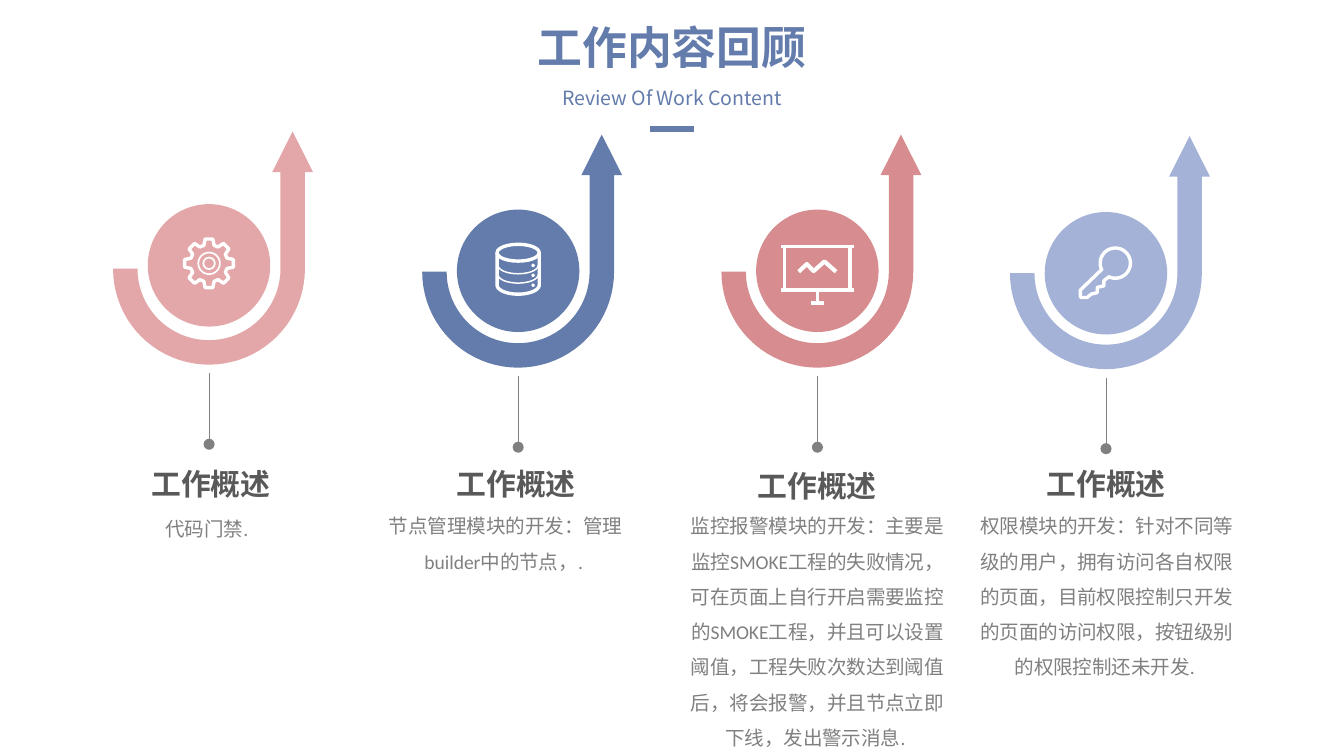
import math
from dataclasses import dataclass
from typing import Callable

import lxml.etree
import pptx
import pptx.dml.color
import pptx.enum.shapes
import pptx.enum.text
import pptx.oxml.ns
import pptx.util

Pt = pptx.util.Pt
Point = tuple[float, float]
COLOURS = {
    "blue": "637CAC", "pale blue": "A3B2D6", "rose": "D78D8F", "pink": "E4A7A9",
    "white": "FFFFFF", "heading": "595959", "body": "808080",
}
FONT = "Noto Sans CJK SC"
OVAL = pptx.enum.shapes.MSO_SHAPE.OVAL
STRAIGHT = pptx.enum.shapes.MSO_CONNECTOR.STRAIGHT
TITLE_FORMAT = {"size": Pt(24), "bold": True, "name": FONT}
SUBTITLE_FORMAT = {"size": Pt(10.5), "bold": False, "name": FONT}
HEADING_FORMAT = {"size": Pt(16), "bold": True, "name": FONT}
BODY_FORMAT = {"size": Pt(10.5), "bold": False, "name": "Calibri"}

presentation = pptx.Presentation()
presentation.slide_width, presentation.slide_height = Pt(720), Pt(405)
slide = presentation.slides.add_slide(presentation.slide_layouts[6])


def rgb(colour: str) -> pptx.dml.color.RGBColor:
    return pptx.dml.color.RGBColor.from_string(COLOURS[colour])


def add_child(parent, tag: str, **attributes: str) -> None:
    lxml.etree.SubElement(parent, pptx.oxml.ns.qn(tag), attributes)


def paint(shape, fill: str | None, line: str | None = None, weight: float = 1) -> None:
    shape.shadow.inherit = False
    if fill:
        shape.fill.solid()
        shape.fill.fore_color.rgb = rgb(fill)
    else:
        shape.fill.background()
    if line:
        shape.line.color.rgb = rgb(line)
        shape.line.width = Pt(weight)
    else:
        shape.line.fill.background()


def add_text(text: str, centre: float, top: float, width: float, height: float,
             values: dict, colour: str, spacing: float = 1, wrap: bool = True) -> None:
    shape = slide.shapes.add_textbox(Pt(centre - width / 2), Pt(top), Pt(width), Pt(height))
    frame = shape.text_frame
    frame.word_wrap = wrap
    frame.auto_size = pptx.enum.text.MSO_AUTO_SIZE.SHAPE_TO_FIT_TEXT
    paragraph = frame.paragraphs[0]
    paragraph.alignment = pptx.enum.text.PP_ALIGN.CENTER
    paragraph.line_spacing = spacing
    run = paragraph.add_run()
    run.text = text
    for name, value in values.items():
        setattr(run.font, name, value)
    run.font.color.rgb = rgb(colour)
    add_child(run.font._element, "a:ea", typeface=FONT)


def add_line(start: Point, end: Point, colour: str, weight: float, dot: bool = False) -> None:
    line = slide.shapes.add_connector(STRAIGHT, *(Pt(value) for value in start + end))
    line.line.color.rgb = rgb(colour)
    line.line.width = Pt(weight)
    if dot:
        add_child(line.line._get_or_add_ln(), "a:tailEnd", type="oval")
    add_child(line._element.spPr, "a:effectLst")


def add_ellipse(x: float, y: float, radius_x: float, radius_y: float,
                fill: str | None, line: str | None = None, weight: float = 1) -> None:
    shape = slide.shapes.add_shape(OVAL, Pt(x - radius_x), Pt(y - radius_y),
                                   Pt(2 * radius_x), Pt(2 * radius_y))
    paint(shape, fill, line, weight)


def add_outline(x: float, y: float, points: list[Point], fill: str | None = None,
                weight: float = 0, close: bool = True) -> None:
    """Draw points given relative to x, y; a weight gives a white stroke."""
    placed = [(Pt(x + dx), Pt(y + dy)) for dx, dy in points]
    builder = slide.shapes.build_freeform(*placed[0], scale=1.0)
    builder.add_line_segments(placed[1:], close=close)
    paint(builder.convert_to_shape(), fill, "white" if weight else None, weight)


def arc(x: float, y: float, radius_x: float, radius_y: float,
        start: float, end: float, steps: int = 40) -> list[Point]:
    angles = [math.radians(start + (end - start) * step / steps) for step in range(steps + 1)]
    return [(x + radius_x * math.cos(angle), y + radius_y * math.sin(angle)) for angle in angles]


# Icons, each around the centre of its disc
def draw_gear(x: float, y: float) -> None:
    y -= 1.1
    tooth = ((-16, 10), (-9, 13.2), (9, 13.2), (16, 10))
    teeth = [arc(0, 0, radius, radius, 45 * index + angle, 0, 1)[0]
             for index in range(8) for angle, radius in tooth]
    add_outline(x, y, teeth, weight=1.8)
    for radius in (5.8, 3.1):
        add_ellipse(x, y, radius, radius, None, "white", 0.9)


def draw_database(x: float, y: float) -> None:
    add_ellipse(x, y - 9.7, 11.3, 4.5, None, "white", 1.8)
    wall = [(11.3, -9.7)] + arc(0, 7.6, 11.3, 4.9, 0, 180) + [(-11.3, -9.7)]
    add_outline(x, y, wall, weight=1.8, close=False)
    for level in (-3, 2):
        add_outline(x, y, arc(0, level, 10.8, 4.6, 0, 180), weight=0.8, close=False)
    for level in (-2.9, 2.4, 7.7):
        add_ellipse(x + 8, y + level, 0.9, 0.9, "white")


def draw_board(x: float, y: float) -> None:
    add_outline(x, y, [(-17.6, -13), (17.6, -13), (17.6, 10.1), (-17.6, 10.1)], weight=2)
    for half, level in ((19.4, -13), (19.4, 10.1), (3.6, 17.2)):
        add_line((x - half, y + level), (x + half, y + level), "white", 2)
    add_line((x, y + 10), (x, y + 17), "white", 2)
    chart = [(-10, 0.5), (-5.6, -3.6), (-2, 0.2), (3.8, -5), (10, 0.5)]
    add_outline(x, y, chart, weight=2.2, close=False)


def draw_key(x: float, y: float) -> None:
    blade = [(-2.5, -1.8), (-13.7, 9), (-13.7, 13), (-10.1, 13), (-7.9, 11.2),
             (-4.7, 10.4), (-4.7, 7.6), (-1.1, 6.8), (-1.1, 4)]
    add_outline(x, y, blade + arc(5, -5.4, 8.1, 8.1, 115, -206), weight=1.8)


@dataclass
class Topic:
    x: float
    hook_y: float
    disc_y: float
    heading_x: float
    heading_top: float
    body_x: float
    body_top: float
    body_height: float
    colour: str
    icon: Callable[[float, float], None]
    body: str


TOPICS = [
    Topic(112, 144, 142.2, 113, 246.2, 112, 267, 26, "pink", draw_gear, "代码门禁. "),
    Topic(277.6, 145.6, 145.1, 276.5, 246.2, 271, 265.7, 45, "blue", draw_database,
          "节点管理模块的开发：管理builder中的节点，. "),
    Topic(437.9, 145.6, 145.1, 437.8, 247, 438, 265.7, 140, "rose", draw_board,
          "监控报警模块的开发：主要是监控SMOKE工程的失败情况，可在页面上自行开启需要监控的"
          "SMOKE工程，并且可以设置阈值，工程失败次数达到阈值后，将会报警，并且节点立即下线，"
          "发出警示消息. "),
    Topic(592.5, 146.4, 146.4, 592.6, 246.2, 593, 265.7, 103, "pale blue", draw_key,
          "权限模块的开发：针对不同等级的用户，拥有访问各自权限的页面，目前权限控制只开发的"
          "页面的访问权限，按钮级别的权限控制还未开发. "),
]
# Hook: arrowhead on the right, then the outer and inner half circles
INNER, OUTER, HEAD_X, HEAD_BASE = 38.3, 51.4, 44.8, -51.8
HOOK = ([(HEAD_X, -73.5), (HEAD_X - 10.9, HEAD_BASE), (INNER, HEAD_BASE)]
        + arc(0, 0, INNER, INNER, 0, 180) + arc(0, 0, OUTER, OUTER, 180, 0)
        + [(OUTER, HEAD_BASE), (HEAD_X + 10.9, HEAD_BASE)])


def draw_topic(topic: Topic) -> None:
    add_line((topic.x, topic.hook_y + 56), (topic.x, topic.hook_y + 94), "body", 0.5, dot=True)
    add_ellipse(topic.x, topic.disc_y, 32.8, 32.8, topic.colour)
    add_outline(topic.x, topic.hook_y, HOOK, topic.colour)
    topic.icon(topic.x, topic.disc_y)
    add_text(topic.body, topic.body_x, topic.body_top, 154.8, topic.body_height,
             BODY_FORMAT, "body", spacing=1.5)
    add_text("工作概述", topic.heading_x, topic.heading_top, 79, 26.6,
             HEADING_FORMAT, "heading", wrap=False)


# Title block
add_text("工作内容回顾", 360, 7.2, 160, 36, TITLE_FORMAT, "blue")
add_text("Review Of Work Content", 360, 42.5, 140.4, 20, SUBTITLE_FORMAT, "blue")
add_line((348, 69), (372, 69), "blue", 3)

# Four topics
for topic in TOPICS:
    draw_topic(topic)

presentation.save("out.pptx")
